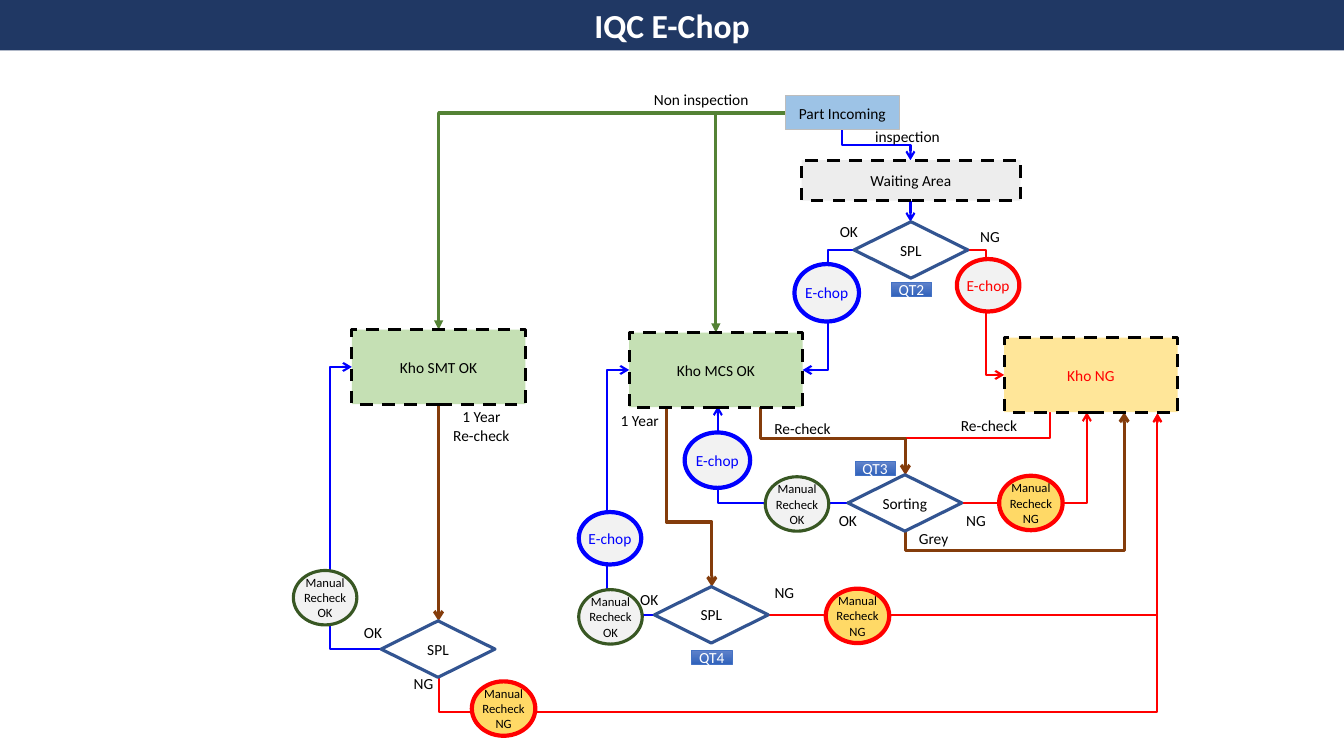
from lxml import etree
from pptx import Presentation
from pptx.dml.color import RGBColor
from pptx.enum.dml import MSO_LINE_DASH_STYLE as Dash
from pptx.enum.shapes import MSO_CONNECTOR as Link, MSO_SHAPE as Shape
from pptx.enum.text import MSO_ANCHOR as Anchor, MSO_AUTO_SIZE as AutoSize, PP_ALIGN as Align
from pptx.oxml.ns import qn
from pptx.util import Inches, Pt

NAVY = RGBColor(0x20, 0x38, 0x64)
WHITE = RGBColor(0xFF, 0xFF, 0xFF)
BLACK = RGBColor(0x00, 0x00, 0x00)
BLUE = RGBColor(0x00, 0x00, 0xFF)
RED = RGBColor(0xFF, 0x00, 0x00)
GREEN = RGBColor(0x54, 0x82, 0x35)
DARK_GREEN = RGBColor(0x38, 0x57, 0x23)
BROWN = RGBColor(0x84, 0x3C, 0x0B)
PALE_GREEN = RGBColor(0xC5, 0xE0, 0xB4)
PALE_YELLOW = RGBColor(0xFF, 0xE6, 0x99)
PALE_BLUE = RGBColor(0x9D, 0xC3, 0xE6)
GOLD = RGBColor(0xFF, 0xD9, 0x66)
LIGHT_GREY = RGBColor(0xF2, 0xF2, 0xF2)
AREA_GREY = RGBColor(0xED, 0xED, 0xED)
EDGE_GREY = RGBColor(0xBD, 0xBD, 0xBD)
DIAMOND_BLUE = RGBColor(0x32, 0x54, 0x91)
TAG_EDGE = RGBColor(0x44, 0x72, 0xC4)
TAG_TOP = RGBColor(0x61, 0x83, 0xCB)
TAG_BOTTOM = RGBColor(0x30, 0x62, 0xBB)


def write_text(box, text, size=11, color=BLACK, bold=False, inset=0):
    frame = box.text_frame
    layout = {"word_wrap": True, "auto_size": AutoSize.NONE,
              "vertical_anchor": Anchor.MIDDLE}
    layout.update({f"margin_{side}": Inches(inset)
                   for side in ("left", "top", "right", "bottom")})
    for name, value in layout.items():
        setattr(frame, name, value)
    frame.text = text
    for para in frame.paragraphs:
        para.alignment = Align.CENTER
        for span in para.runs:
            span.font.color.rgb = color
            for name, value in {"name": "Calibri", "size": Pt(size), "bold": bold}.items():
                setattr(span.font, name, value)


def add_node(kind, place, text, line_color, line_width, fill=None, **text_format):
    box = page.shapes.add_shape(kind, *map(Inches, place))
    box.shadow.inherit = False
    if fill is None:
        box.fill.background()
    else:
        box.fill.solid()
        box.fill.fore_color.rgb = fill
    box.line.color.rgb = line_color
    box.line.width = Pt(line_width)
    write_text(box, text, **text_format)
    return box


deck = Presentation()
deck.slide_width, deck.slide_height = Inches(13.33), Inches(7.5)
page = deck.slides.add_slide(deck.slide_layouts[5])

# Title bar
title = page.shapes.title
for name, value in {"left": 0, "top": 0, "width": 13.33, "height": 0.5}.items():
    setattr(title, name, Inches(value))
title.fill.solid()
title.fill.fore_color.rgb = NAVY
write_text(title, "IQC E-Chop", size=24, color=WHITE, bold=True)

# Arrows: start, end, colour, width, head, route, position of the middle leg.
# "corner" turns once; "across" and "down" name the first leg of three.
arrows = [
    ((7.79, 1.12), (7.1, 3.3), GREEN, 2.25, "triangle", "corner", None),
    ((7.79, 1.12), (4.35, 3.27), GREEN, 2.25, "triangle", "corner", None),
    ((8.35, 1.28), (9.03, 1.59), BLUE, 1.5, "arrow", "down", 1.44),
    ((9.03, 1.99), (9.03, 2.2), BLUE, 1.5, "arrow", "straight", None),
    ((8.47, 2.48), (7.96, 3.67), BLUE, 1.5, "arrow", "across", 8.21),
    ((9.6, 2.48), (9.96, 3.72), RED, 1.5, "arrow", "across", 9.78),
    ((10.41, 4.09), (8.98, 4.71), RED, 1.5, "arrow", "down", 4.35),
    ((7.54, 4.02), (8.98, 4.71), BROWN, 2.25, "arrow", "down", 4.35),
    ((8.41, 4.99), (7.12, 4.03), BLUE, 1.5, "arrow", "corner", None),
    ((9.55, 4.99), (10.78, 4.09), RED, 1.5, "arrow", "corner", None),
    ((8.98, 5.27), (11.15, 4.09), BROWN, 2.25, "arrow", "down", 5.46),
    ((6.61, 4.04), (7.06, 5.82), BROWN, 2.25, "arrow", "down", 5.18),
    ((6.49, 6.1), (6.24, 3.67), BLUE, 1.5, "arrow", "across", 6.02),
    ((7.62, 6.1), (11.48, 4.1), RED, 1.5, "triangle", "corner", None),
    ((4.35, 4), (4.35, 6.16), BROWN, 2.25, "arrow", "straight", None),
    ((3.78, 6.44), (3.49, 3.64), BLUE, 1.5, "arrow", "across", 3.27),
    ((4.35, 6.72), (11.48, 4.1), RED, 1.5, "arrow", "down", 7.06),
]
for (x1, y1), (x2, y2), color, weight, head, route, middle in arrows:
    left, up = x2 < x1, y2 < y1
    width, height = abs(x2 - x1), abs(y2 - y1)
    if route == "down":
        # The frame lies on its side, so its width runs along the page height
        width, height = height, width
        mirrored = not left and not up
        turn, flip_h, flip_v = (270 if mirrored else 90), mirrored or up, up
        bend = (middle - y1) / (y2 - y1)
    else:
        turn, flip_h, flip_v = (180 if left else 0), False, left != up
        bend = (middle - x1) / (x2 - x1) if middle else None
    if route == "straight":
        turn, flip_v = 0, False
    x, y = (x1 + x2 - width) / 2, (y1 + y2 - height) / 2
    arrow = page.shapes.add_connector(
        Link.STRAIGHT if route == "straight" else Link.ELBOW,
        *map(Inches, (x, y, x + width, y + height)))
    arrow.line.color.rgb = color
    arrow.line.width = Pt(weight)
    props = arrow._element.spPr
    frame = props.find(qn("a:xfrm"))
    for name, value in {"rot": turn * 60000, "flipH": int(flip_h),
                        "flipV": int(flip_v)}.items():
        if value:
            frame.set(name, str(value))
    geometry = props.find(qn("a:prstGeom"))
    if route == "corner":
        geometry.set("prst", "bentConnector2")
    if bend is not None:
        guide = etree.SubElement(geometry.find(qn("a:avLst")), qn("a:gd"))
        guide.set("name", "adj1")
        guide.set("fmla", f"val {round(bend * 100000)}")
    etree.SubElement(props.find(qn("a:ln")), qn("a:tailEnd")).set("type", head)
    etree.SubElement(props, qn("a:effectLst"))

# Labels beside the arrows
labels = [
    ("Non inspection", 6.46, 0.92, 0.99, 0.14),
    ("inspection", 8.54, 1.28, 0.92, 0.14),
    ("OK", 8.22, 2.23, 0.4, 0.14),
    ("NG", 9.62, 2.2, 0.4, 0.28),
    ("Re-check", 9.46, 4.12, 0.7, 0.19),
    ("Re-check", 7.57, 4.15, 0.78, 0.19),
    ("NG", 9.48, 5.02, 0.4, 0.28),
    ("OK", 8.21, 5.02, 0.4, 0.28),
    ("Grey", 9.06, 5.2, 0.4, 0.28),
    ("1 Year", 6.12, 4.1, 0.45, 0.14),
    ("OK", 6.24, 5.88, 0.4, 0.14),
    ("NG", 7.58, 5.74, 0.4, 0.28),
    ("1 Year\nRe-check", 4.41, 4.08, 0.73, 0.29),
    ("OK", 3.5, 6.13, 0.4, 0.28),
    ("NG", 4, 6.64, 0.4, 0.28),
]
for text, *place in labels:
    write_text(page.shapes.add_textbox(*map(Inches, place)), text)

# Start box, waiting area and stores
add_node(Shape.RECTANGLE, (7.79, 0.95, 1.13, 0.34), "Part Incoming",
         EDGE_GREY, 0.75, PALE_BLUE, inset=0.05)
areas = [
    ("Waiting Area", (7.95, 1.59, 2.17, 0.4), AREA_GREY, BLACK),
    ("Kho SMT OK", (3.49, 3.27, 1.72, 0.74), PALE_GREEN, BLACK),
    ("Kho MCS OK", (6.24, 3.3, 1.72, 0.74), PALE_GREEN, BLACK),
    ("Kho NG", (9.96, 3.35, 1.72, 0.74), PALE_YELLOW, RED),
]
for text, place, fill, color in areas:
    area = add_node(Shape.RECTANGLE, place, text, BLACK, 2.25, fill, color=color, inset=0.05)
    area.line.dash_style = Dash.DASH

# Decisions
for text, x, y in [("SPL", 8.47, 2.2), ("Sorting", 8.41, 4.71),
                   ("SPL", 6.49, 5.82), ("SPL", 3.78, 6.16)]:
    add_node(Shape.FLOWCHART_DECISION, (x, y, 1.13, 0.56), text, DIAMOND_BLUE, 2.25)

# E-chop stamps
for place, color in [((9.49, 2.57, 0.62, 0.52), RED), ((7.88, 2.62, 0.64, 0.57), BLUE),
                     ((6.79, 4.29, 0.65, 0.55), BLUE), ((5.74, 5.08, 0.62, 0.52), BLUE)]:
    add_node(Shape.OVAL, place, "E-chop", color, 3, LIGHT_GREY, color=color)

# Manual rechecks
recheck_styles = {"OK": (DARK_GREEN, 2.25, LIGHT_GREY), "NG": (RED, 3, GOLD)}
for result, x, y in [("OK", 7.59, 4.73), ("OK", 2.91, 5.66), ("OK", 5.74, 5.85),
                     ("NG", 9.91, 4.72), ("NG", 8.19, 5.84), ("NG", 4.68, 6.76)]:
    add_node(Shape.OVAL, (x, y, 0.63, 0.54), f"Manual Recheck {result}",
             *recheck_styles[result], size=9)

# Procedure tags
for text, x, y in [("QT2", 8.84, 2.8), ("QT3", 8.48, 4.58), ("QT4", 6.86, 6.45)]:
    tag = add_node(Shape.RECTANGLE, (x, y, 0.4, 0.14), text, TAG_EDGE, 0.5, color=WHITE)
    tag.fill.gradient()
    tag.fill.gradient_angle = 270
    for stop, color in zip(tag.fill.gradient_stops, (TAG_TOP, TAG_BOTTOM)):
        stop.color.rgb = color

deck.save("out.pptx")
